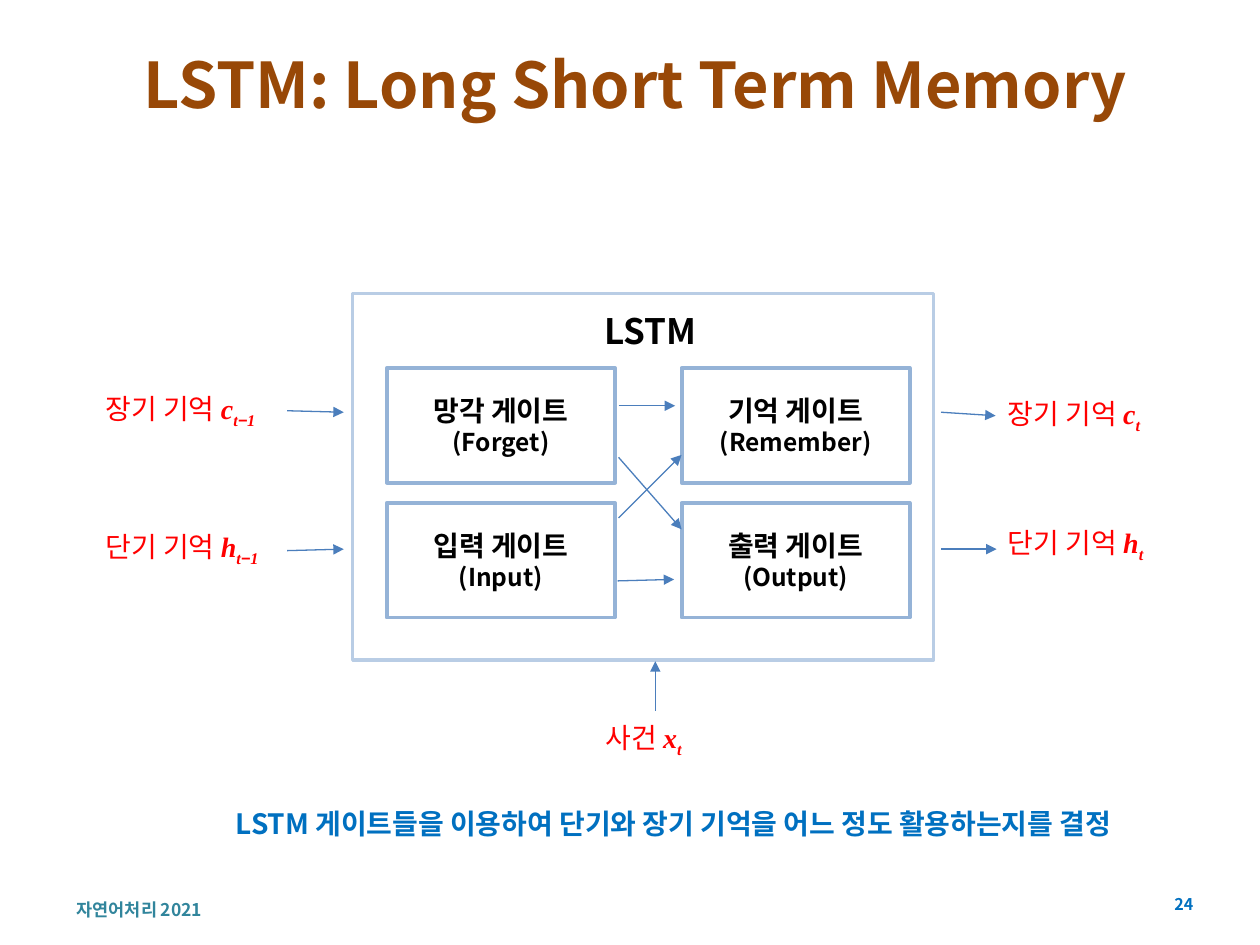
from pptx import Presentation
from pptx import util as u
from pptx.dml.color import RGBColor
from pptx.enum import shapes, text
from pptx.oxml.ns import qn
from lxml import etree

SANS, SERIF = "Noto Sans CJK KR", "Times New Roman"
HUES = {"title": "984807", "foot": "31859C", "blue": "0070C0", "red": "FF0000",
        "ink": "000000", "frame": "B9CDE5", "gate": "95B3D7", "arrow": "4B7EBC"}
LEFT, MID, RIGHT = text.PP_ALIGN.LEFT, text.PP_ALIGN.CENTER, text.PP_ALIGN.RIGHT

# Content: lengths in cm
TITLE = ("LSTM: Long Short Term Memory", (1.3, 0.91, 23.01, 1.52))
NOTES = [  # words, place, size, colour, alignment
    ("자연어처리 2021", (1.3, 18.14, 6.6, 0.41), 10, "foot", LEFT),
    ("24", (22.91, 17.93, 1.4, 0.61), 9.2, "blue", RIGHT),
    ("LSTM", (11.71, 6.12, 2.79, 1.09), 20, "ink", MID),
    ("LSTM 게이트들을 이용하여 단기와 장기 기억을 어느 정도 활용하는지를 결정",
     (3.38, 16, 20.4, 1.19), 16, "blue", MID),
]
FRAME = (7.11, 5.92, 11.71, 7.39)
GATES = [[("망각 게이트", "(Forget)"), ("기억 게이트", "(Remember)")],
         [("입력 게이트", "(Input)"), ("출력 게이트", "(Output)")]]
GRID = {"left": 7.8, "top": 7.42, "dx": 5.94, "dy": 2.72, "size": (4.6, 2.31)}
PAST = [("t", SERIF), ("−", "Arial"), ("1", SERIF)]
NOW = [("t", SERIF)]
STATES = [  # words, symbol, subscript, place, alignment
    ("장기 기억 ", "c", PAST, (1.88, 7.42, 4.14, 1.7), LEFT),
    ("단기 기억 ", "h", PAST, (1.88, 10.21, 4.14, 1.7), LEFT),
    ("장기 기억 ", "c", NOW, (20.07, 7.52, 4.14, 1.7), LEFT),
    ("단기 기억 ", "h", NOW, (20.07, 10.13, 4.14, 1.7), LEFT),
    ("사건 ", "x", [("t ", SERIF)], (11.53, 14.07, 2.97, 1.7), MID),
]
ARROWS = [
    (5.79, 8.28, 6.93, 8.31), (5.79, 11.1, 6.93, 11.07),       # into the cell
    (18.97, 8.31, 20.07, 8.38), (18.97, 11.07, 20.09, 11.07),  # out of the cell
    (13.21, 14.33, 13.21, 13.33),                              # event
    (12.47, 8.18, 13.61, 8.18), (12.45, 11.71, 13.59, 11.68),  # across
    (12.47, 9.22, 13.74, 10.67), (12.47, 10.44, 13.74, 9.17),  # crossing
]


def cm(nums):
    return [u.Cm(n) for n in nums]


def hue(name):
    return RGBColor.from_string(HUES[name])


def add_run(para, words, color, face=SANS, sub=False, **style):
    run = para.add_run()
    run.text = words
    for key, val in {"name": face, **style}.items():
        setattr(run.font, key, val)
    run.font.color.rgb = hue(color)
    props = run.font._element
    etree.SubElement(props, qn("a:ea")).set("typeface", face)
    if sub:
        props.set("baseline", "-25000")


def set_frame(shape, align):
    frame = shape.text_frame
    for key, val in {"word_wrap": True, "auto_size": text.MSO_AUTO_SIZE.NONE,
                     "vertical_anchor": text.MSO_ANCHOR.MIDDLE}.items():
        setattr(frame, key, val)
    frame.paragraphs[0].alignment = align
    return frame


def add_rect(slide, box, color, width):
    rect = slide.shapes.add_shape(shapes.MSO_SHAPE.RECTANGLE, *cm(box))
    rect.shadow.inherit = False
    rect.fill.background()
    rect.line.color.rgb = hue(color)
    rect.line.width = u.Pt(width)
    return rect


def add_arrow(slide, ends):
    link = slide.shapes.add_connector(shapes.MSO_CONNECTOR.STRAIGHT, *cm(ends))
    link.line.color.rgb = hue("arrow")
    link.line.width = u.Pt(0.75)
    etree.SubElement(link.line._get_or_add_ln(), qn("a:tailEnd")).set("type", "triangle")
    etree.SubElement(link._element.spPr, qn("a:effectLst"))


def main():
    deck = Presentation()
    deck.slide_width, deck.slide_height = cm((25.4, 19.05))
    slide = deck.slides.add_slide(deck.slide_layouts[5])

    # Title
    words, box = TITLE
    title = slide.shapes.title
    for key, val in zip(("left", "top", "width", "height"), cm(box)):
        setattr(title, key, val)
    para = set_frame(title, MID).paragraphs[0]
    add_run(para, words, "title", size=u.Pt(36), bold=True)

    # Cell and its gates
    add_rect(slide, FRAME, "frame", 2)
    for row, pair in enumerate(GATES):
        for col, names in enumerate(pair):
            spot = (GRID["left"] + col * GRID["dx"], GRID["top"] + row * GRID["dy"])
            frame = set_frame(add_rect(slide, spot + GRID["size"], "gate", 2.25), MID)
            frame.add_paragraph().alignment = MID
            for para, name, size in zip(frame.paragraphs, names, (16, 14)):
                add_run(para, name, "ink", size=u.Pt(size), bold=True)

    # Plain labels
    for words, box, size, color, align in NOTES:
        para = set_frame(slide.shapes.add_textbox(*cm(box)), align).paragraphs[0]
        add_run(para, words, color, size=u.Pt(size), bold=True)

    # States with symbols
    size = u.Pt(16)
    for words, sign, subs, box, align in STATES:
        para = set_frame(slide.shapes.add_textbox(*cm(box)), align).paragraphs[0]
        add_run(para, words, "red", size=size)
        add_run(para, sign, "red", SERIF, size=size, bold=True, italic=True)
        for part, face in subs:
            add_run(para, part, "red", face, True, size=size, bold=True, italic=True)

    # Arrows
    for ends in ARROWS:
        add_arrow(slide, ends)
    deck.save("out.pptx")


if __name__ == "__main__":
    main()
